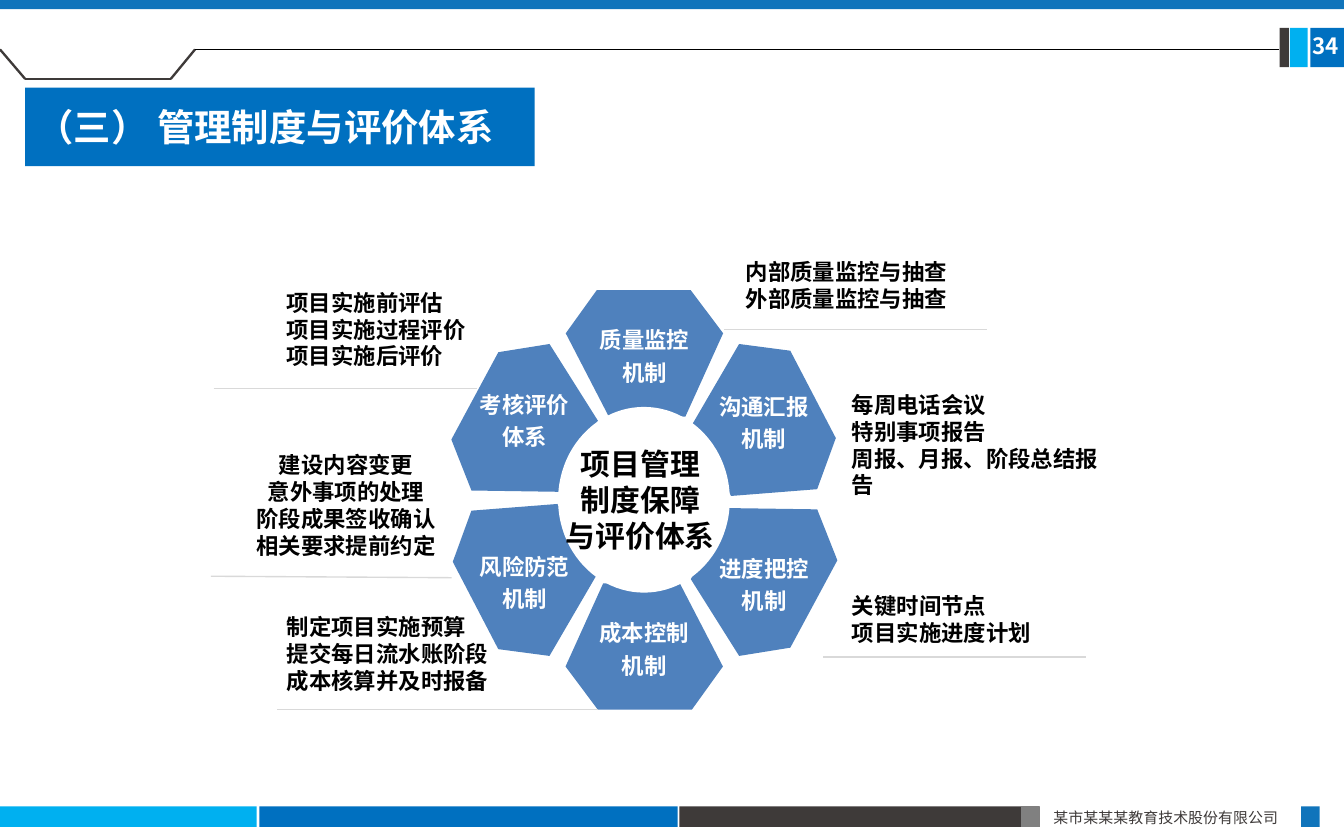
from dataclasses import dataclass
from typing import NamedTuple

from lxml.etree import SubElement
from pptx import Presentation
from pptx.dml.color import RGBColor
from pptx.enum.shapes import MSO_CONNECTOR, MSO_SHAPE
from pptx.enum.text import MSO_ANCHOR, MSO_AUTO_SIZE, PP_ALIGN
from pptx.oxml.ns import qn
from pptx.util import Pt


@dataclass(frozen=True)
class Theme:
    blue: str = "0070C0"
    bar_blue: str = "1074BB"
    cyan: str = "00B0F0"
    dark: str = "3E3A39"
    grey: str = "808080"
    rule: str = "D9D9D9"
    petal: str = "4F81BD"
    white: str = "FFFFFF"
    black: str = "000000"
    cjk: str = "Noto Sans CJK SC"
    latin: str = "Calibri"
    title: float = 20
    hub: float = 16
    body: float = 12
    footer: float = 8
    leading: float = 1.2


class Box(NamedTuple):
    x: float
    y: float
    w: float
    h: float
    color: str


class Rule(NamedTuple):
    x1: float
    y1: float
    x2: float
    y2: float
    color: str
    width: float = 0.75


class Label(NamedTuple):
    x: float
    y: float
    w: float
    h: float
    lines: tuple[str, ...]
    size: float
    color: str
    align: PP_ALIGN = PP_ALIGN.LEFT
    bold: bool = True


class Petal(NamedTuple):
    points: tuple[tuple[float, float], ...]
    lines: tuple[str, str]
    opposite: tuple[str, str]


T = Theme()
CENTER = (345.2, 267.85)

BARS = [
    Box(0, 432, 137.5, 11, T.cyan),
    Box(139, 432, 224, 11, T.blue),
    Box(364, 432, 193, 11, T.dark),
    Box(547, 432, 10, 11, T.grey),
    Box(697, 432, 10, 11, T.bar_blue),
    Box(702, 15, 18, 21, T.blue),
    Box(691, 15, 9.5, 21, T.cyan),
    Box(685.5, 15, 5, 21, T.dark),
    Box(0, 0, 720, 5, T.bar_blue),
]
HEADER_RULES = [
    Rule(13.5, 42.3, 91.5, 42.3, T.dark, 1.25),
    Rule(91.5, 42.3, 104.5, 26.5, T.dark, 1.25),
    Rule(13.5, 42.3, 0, 26.5, T.dark, 1.25),
    Rule(104.5, 26.5, 685, 26.5, T.black),
]
# Each petal is paired with the one a half turn away.
PETALS = [
    Petal(((319.7, 155.5), (370.1, 155.5), (387.4, 178.6),
           (367.2, 223.2), (326.2, 223.2), (303.1, 178.6)),
          ("质量监控", "机制"), ("成本控制", "机制")),
    Petal(((396, 184.3), (423.4, 187.9), (447.8, 234.7),
           (437.8, 262.1), (391.7, 265.7), (370.8, 227.5)),
          ("沟通汇报", "机制"), ("风险防范", "机制")),
    Petal(((390.2, 272.2), (437.8, 272.9), (448.6, 300.2),
           (423.4, 347), (396, 351.4), (370.1, 310.3)),
          ("进度把控", "机制"), ("考核评价", "体系")),
]
NOTE_RULES = [
    Rule(388, 176.5, 528.5, 176.5, T.rule),
    Rule(441, 352, 582, 352, T.rule),
    Rule(113, 308.7, 242, 309.5, T.rule),
    Rule(148.5, 380, 320.5, 380, T.rule),
    Rule(114.5, 208, 255.5, 208, T.rule),
]
LABELS = [
    Label(557.3, 429.8, 139.7, 17, ("某市某某某教育技术股份有限公司",),
          T.footer, T.dark, PP_ALIGN.JUSTIFY, False),
    Label(696.2, 13.7, 36, 22, ("34",), T.body, T.white),
    Label(293.8, 235.4, 98.6, 65.5, ("项目管理", "制度保障", "与评价体系"),
          T.hub, T.black, PP_ALIGN.CENTER),
    Label(392.4, 134.6, 123, 51, ("内部质量监控与抽查", "外部质量监控与抽查"),
          T.body, T.black),
    Label(449.3, 205.9, 155.5, 80,
          ("每周电话会议", "特别事项报告", "周报、月报、阶段总结报告"),
          T.body, T.black),
    Label(449.3, 313.9, 112, 51, ("关键时间节点", "项目实施进度计划"),
          T.body, T.black),
    Label(129.4, 238.3, 112, 80,
          ("建设内容变更", "意外事项的处理", "阶段成果签收确认", "相关要求提前约定"),
          T.body, T.black, PP_ALIGN.CENTER),
    Label(146.6, 324.9, 124, 51,
          ("制定项目实施预算", "提交每日流水账阶段", "成本核算并及时报备"),
          T.body, T.black),
    Label(146.4, 151.2, 112, 65.5,
          ("项目实施前评估", "项目实施过程评价", "项目实施后评价"),
          T.body, T.black),
]


def paint(sp, color: str) -> None:
    sp.fill.solid()
    sp.fill.fore_color.rgb = RGBColor.from_string(color)
    sp.line.fill.background()
    sp.shadow.inherit = False


def write(tf, lines: tuple[str, ...], size: float, color: str, align: PP_ALIGN,
          bold: bool = True, leading: float = T.leading, latin: str = T.cjk) -> None:
    """Write one paragraph per line, with fixed line height of size times leading."""
    tf.word_wrap = True
    for i, line in enumerate(lines):
        p = tf.paragraphs[0] if i == 0 else tf.add_paragraph()
        p.alignment = align
        p.line_spacing = Pt(size * leading)
        r = p.add_run()
        r.text = line
        r.font.size = Pt(size)
        r.font.bold = bold
        r.font.color.rgb = RGBColor.from_string(color)
        r.font.name = latin
        SubElement(r.font._element, qn("a:ea"), typeface=T.cjk)


def add_box(s, box: Box, kind: MSO_SHAPE = MSO_SHAPE.RECTANGLE) -> None:
    paint(s.shapes.add_shape(kind, *map(Pt, box[:4])), box.color)


def add_rule(s, rule: Rule) -> None:
    ln = s.shapes.add_connector(MSO_CONNECTOR.STRAIGHT, *map(Pt, rule[:4]))
    ln.line.color.rgb = RGBColor.from_string(rule.color)
    ln.line.width = Pt(rule.width)
    SubElement(ln._element.spPr, qn("a:effectLst"))


def add_label(s, lb: Label) -> None:
    tf = s.shapes.add_textbox(*map(Pt, lb[:4])).text_frame
    write(tf, lb.lines, lb.size, lb.color, lb.align, lb.bold)


def add_petal(s, points, lines: tuple[str, str]) -> None:
    start, *rest = [(Pt(x), Pt(y)) for x, y in points]
    fb = s.shapes.build_freeform(*start)
    fb.add_line_segments(rest, close=True)
    sp = fb.convert_to_shape()
    paint(sp, T.petal)
    sp.text_frame.vertical_anchor = MSO_ANCHOR.MIDDLE
    write(sp.text_frame, lines, T.body, T.white, PP_ALIGN.CENTER, leading=T.leading ** 2)


def add_title(s, text: str) -> None:
    sp = s.shapes.title
    sp.left, sp.top, sp.width, sp.height = Pt(13.5), Pt(47), Pt(273), Pt(42)
    sp.fill.solid()
    sp.fill.fore_color.rgb = RGBColor.from_string(T.blue)
    tf = sp.text_frame
    tf.auto_size = MSO_AUTO_SIZE.NONE
    tf.vertical_anchor = MSO_ANCHOR.MIDDLE
    tf.margin_left = tf.margin_right = Pt(6)
    tf.margin_top = tf.margin_bottom = Pt(3)
    write(tf, (text,), T.title, T.white, PP_ALIGN.LEFT, latin=T.latin)


def main() -> None:
    prs = Presentation()
    prs.slide_width, prs.slide_height = Pt(720), Pt(450)
    s = prs.slides.add_slide(prs.slide_layouts[5])
    for bar in BARS:
        add_box(s, bar)
    for rule in HEADER_RULES:
        add_rule(s, rule)
    add_title(s, "（三） 管理制度与评价体系")
    for petal in PETALS:
        add_petal(s, petal.points, petal.lines)
        turned = [(2 * CENTER[0] - x, 2 * CENTER[1] - y) for x, y in petal.points]
        add_petal(s, turned, petal.opposite)
    add_box(s, Box(299, 218, 92, 99.5, T.white), MSO_SHAPE.OVAL)
    for rule in NOTE_RULES:
        add_rule(s, rule)
    for label in LABELS:
        add_label(s, label)
    prs.save("out.pptx")


if __name__ == "__main__":
    main()
